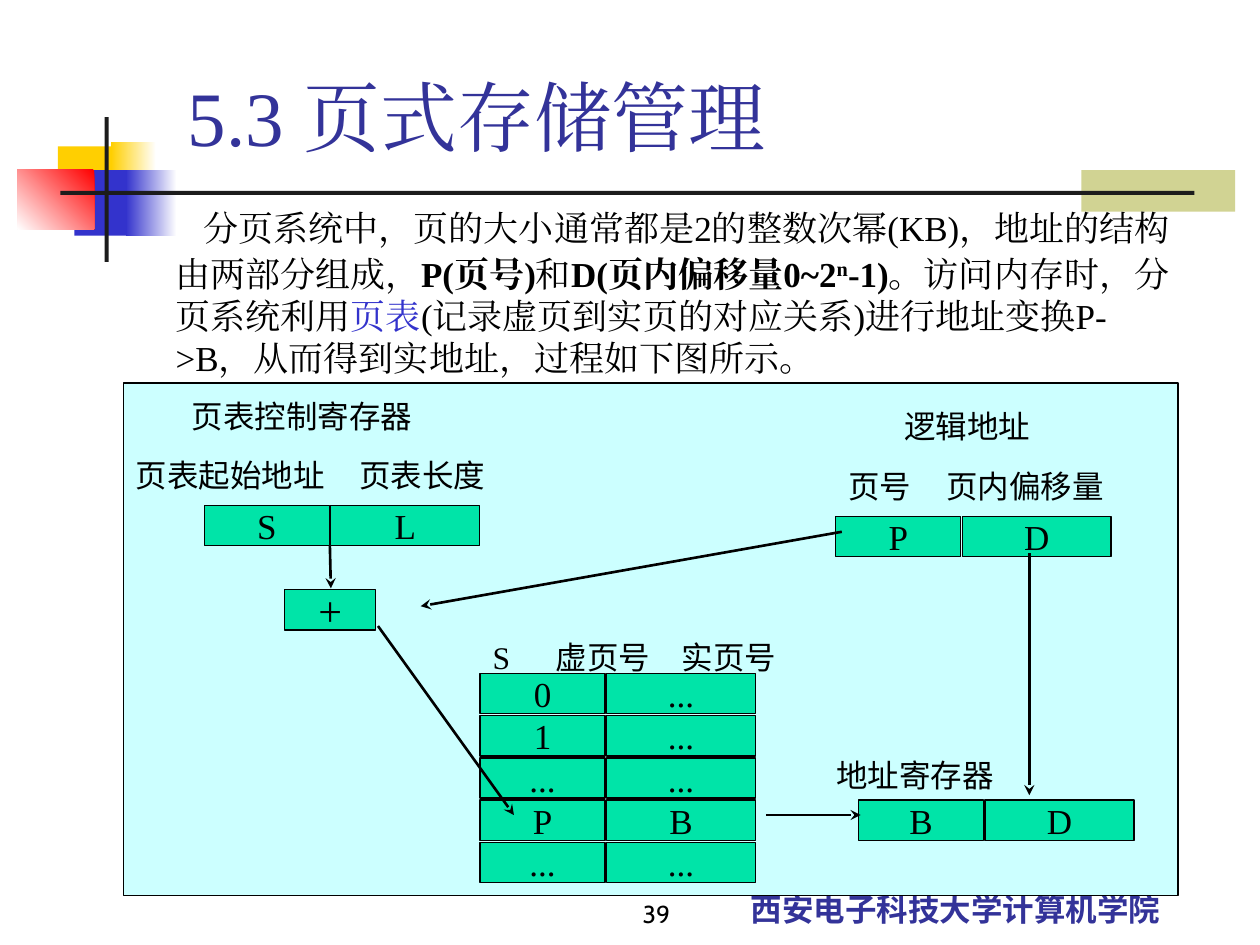
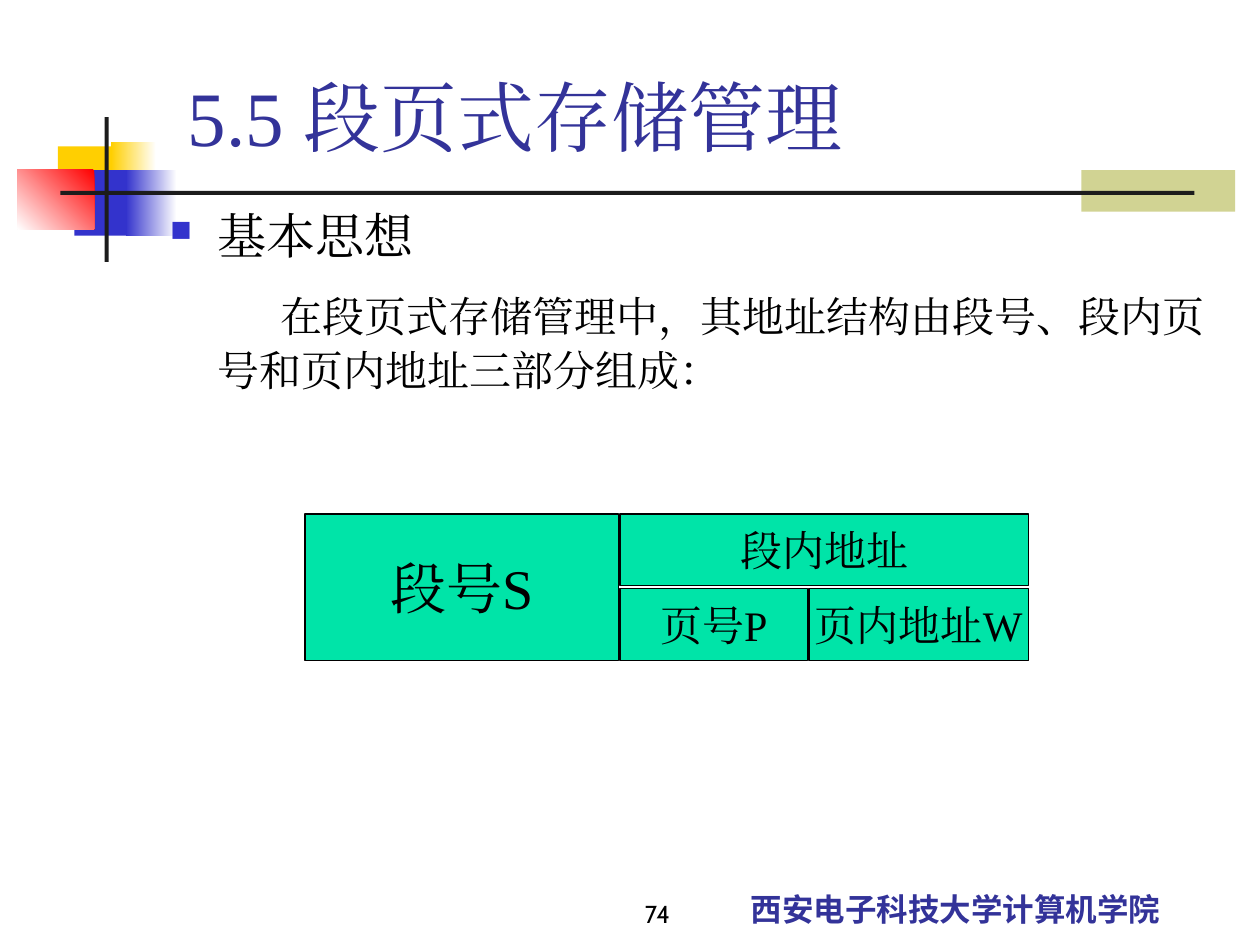
from dataclasses import dataclass

import pptx
import pptx.dml.color
import pptx.enum.shapes
import pptx.enum.text
import pptx.oxml
import pptx.oxml.ns
import pptx.util
from lxml import etree

Cm = pptx.util.Cm
Pt = pptx.util.Pt
ALIGN = pptx.enum.text.PP_ALIGN
ANCHOR = pptx.enum.text.MSO_ANCHOR


@dataclass(frozen=True)
class Theme:
    ink: str = "000000"
    title: str = "333399"
    accent: str = "3333CC"
    yellow: str = "FFCF01"
    red: str = "FF0000"
    white: str = "FFFFFF"
    olive: str = "D1D393"
    rule: str = "1C1C1C"
    cell: str = "00E4A8"
    panel: str = "CCFFFF"
    serif: str = "Times New Roman"
    sans: str = "Noto Sans CJK SC"
    number_font: str = "Cabin"
    title_size: int = 44
    segment_size: int = 32
    heading_size: int = 28
    text_size: int = 24
    cell_size: int = 20
    label_size: int = 18
    number_size: int = 14


THEME = Theme()
NUMBER_CELL_W, VALUE_CELL_W, CELL_H = 2.52, 3.0, 0.81
VALUE_CELL_OFFSET, ROW_PITCH = 2.55, 0.85


def rgb(color):
    return pptx.dml.color.RGBColor.from_string(color)


def add_xml(parent, tag, **attributes):
    child = etree.SubElement(parent, pptx.oxml.ns.qn(tag))
    for key, value in attributes.items():
        child.set(key, str(value))
    return child


def style_run(run, size, font=THEME.serif, color=THEME.ink, bold=False):
    run.font.size = Pt(size)
    run.font.name = font
    run.font.bold = bold
    run.font.color.rgb = rgb(color)
    add_xml(run.font._element, "a:ea", typeface=font)


def style_paragraph(paragraph, size, before=0.7, align=ALIGN.LEFT, **run_style):
    paragraph.alignment = align
    paragraph.space_before, paragraph.space_after = Pt(before), Pt(0.7)
    for run in paragraph.runs:
        style_run(run, size, **run_style)


def indent(paragraph, margin, first_line):
    properties = paragraph._p.get_or_add_pPr()
    properties.set("marL", str(Cm(margin)))
    properties.set("indent", str(Cm(first_line)))


def set_tabs(paragraph, stops):
    tabs = add_xml(paragraph._p.get_or_add_pPr(), "a:tabLst")
    for stop in stops:
        add_xml(tabs, "a:tab", pos=Cm(stop), algn="l")


def set_square_bullet(paragraph):
    properties = paragraph._p.get_or_add_pPr()
    add_xml(add_xml(properties, "a:buClr"), "a:srgbClr", val=THEME.accent)
    add_xml(properties, "a:buSzPct", val=60000)
    add_xml(properties, "a:buChar", char="■")


def add_text_frame(slide, left, top, width, height, anchor=ANCHOR.TOP):
    box = slide.shapes.add_textbox(Cm(left), Cm(top), Cm(width), Cm(height))
    frame = box.text_frame
    frame.word_wrap = True
    frame.vertical_anchor = anchor
    return frame


def add_line_of_text(slide, box, text, size, **style):
    frame = add_text_frame(slide, *box, anchor=ANCHOR.BOTTOM)
    frame.text = text
    style_paragraph(frame.paragraphs[0], size, **style)


def add_rect(slide, left, top, width, height, fill, outlined=False):
    """Draw a rectangle; fill is a colour or (start, end, clockwise angle)."""
    rect = slide.shapes.add_shape(
        pptx.enum.shapes.MSO_SHAPE.RECTANGLE, Cm(left), Cm(top), Cm(width), Cm(height))
    rect.shadow.inherit = False
    if isinstance(fill, str):
        rect.fill.solid()
        rect.fill.fore_color.rgb = rgb(fill)
    else:
        start, end, angle = fill
        rect.fill.gradient()
        rect.fill.gradient_angle = 360 - angle
        for stop, color in zip(rect.fill.gradient_stops, (start, end)):
            stop.color.rgb = rgb(color)
    if outlined:
        rect.line.color.rgb = rgb(THEME.ink)
        rect.line.width = Pt(0.75)
    else:
        rect.line.fill.background()
    return rect


def add_cell(slide, left, top, width, height, text, size=THEME.cell_size):
    frame = add_rect(slide, left, top, width, height, THEME.cell, outlined=True).text_frame
    frame.word_wrap = False
    frame.vertical_anchor = ANCHOR.MIDDLE
    frame.text = text
    style_paragraph(frame.paragraphs[0], size, align=ALIGN.CENTER)


def add_register(slide, left, top, number, value):
    """Draw two adjoining fields of a register or page table row."""
    add_cell(slide, left, top, NUMBER_CELL_W, CELL_H, number)
    add_cell(slide, left + VALUE_CELL_OFFSET, top, VALUE_CELL_W, CELL_H, value)


def add_labels(slide, box, lines, stops=(), first_indent=0.0):
    frame = add_text_frame(slide, *box)
    frame.text = "\n".join(lines)
    for paragraph in frame.paragraphs:
        style_paragraph(paragraph, THEME.label_size, before=11.9, font=THEME.sans)
        if stops:
            set_tabs(paragraph, stops)
    indent(frame.paragraphs[0], first_indent, 0)
    return frame


def add_arrow(slide, x1, y1, x2, y2):
    arrow = slide.shapes.add_connector(
        pptx.enum.shapes.MSO_CONNECTOR.STRAIGHT, Cm(x1), Cm(y1), Cm(x2), Cm(y2))
    arrow.line.color.rgb = rgb(THEME.ink)
    arrow.line.width = Pt(1.5)
    add_xml(arrow.line._get_or_add_ln(), "a:tailEnd", type="stealth")
    add_xml(arrow._element.spPr, "a:effectLst")


def add_lecture_slide(deck, title, number):
    """Add a slide with the shared ornament, footer, page number and title."""
    slide = deck.slides.add_slide(deck.slide_layouts[6])
    ornament = (
        (21.8, 3.43, 3.1, 0.84, THEME.olive),
        (1.17, 2.95, 1.22, 1.32, THEME.yellow),
        (2.24, 2.87, 0.91, 1.32, (THEME.white, THEME.yellow, 180)),
        (1.5, 3.43, 1.17, 1.32, THEME.accent),
        (2.54, 3.43, 1.02, 1.32, (THEME.white, THEME.accent, 180)),
        (0.35, 3.42, 1.55, 1.2, (THEME.red, THEME.white, 135)),
        (2.11, 2.36, 0.08, 2.92, THEME.rule),
        (1.22, 3.85, 22.86, 0.08, THEME.rule),
    )
    for part in ornament:
        add_rect(slide, *part)
    add_line_of_text(slide, (13.55, 17.36, 11.43, 1.46), "西安电子科技大学计算机学院",
                     THEME.label_size, align=ALIGN.CENTER, font=THEME.sans,
                     color=THEME.title, bold=True)
    add_line_of_text(slide, (8.47, 17.57, 5.29, 1.27), number, THEME.number_size,
                     align=ALIGN.RIGHT, font=THEME.number_font)
    add_line_of_text(slide, (3.54, 1.27, 21.64, 2.11), title, THEME.title_size,
                     color=THEME.title)
    return slide


def add_opening_space(paragraph):
    """Start a paragraph with a large space that sets its first line's height."""
    run = paragraph.add_run()
    run.text = " "
    style_run(run, THEME.segment_size)


def add_paging_text(slide):
    paragraph = add_text_frame(slide, 2.34, 3.61, 21.59, 4.45).paragraphs[0]
    style_paragraph(paragraph, THEME.cell_size, before=5.7)
    indent(paragraph, 0.95, 0.28)
    add_opening_space(paragraph)
    pieces = (
        ("分页系统中，页的大小通常都是2的整数次幂(KB)，地址的结构由两部分组成，", {}),
        ("P(页号)", {"bold": True}),
        ("和", {}),
        ("D(页内偏移量0~2", {"bold": True}),
        ("n", {"bold": True}),
        ("-1)", {"bold": True}),
        ("。访问内存时，分页系统利用", {}),
        ("页表", {"color": THEME.accent}),
        ("(记录虚页到实页的对应关系)进行地址变换P->B，从而得到实地址，过程如下图所示。", {}),
    )
    for text, style in pieces:
        run = paragraph.add_run()
        run.text = text
        style_run(run, THEME.cell_size, **style)
        if text == "n":
            run.font._element.set("baseline", "30000")


def add_address_translation(slide):
    add_rect(slide, 2.49, 7.72, 21.26, 10.34, THEME.panel, outlined=True)

    add_register(slide, 4.12, 10.19, "S", "L")
    add_cell(slide, 5.74, 11.89, 1.83, CELL_H, "+", THEME.text_size)
    add_labels(slide, (2.49, 7.87, 8.53, 2.21),
               ("页表控制寄存器", "页表起始地址\t页表长度"), (4.5,), 1.13)

    add_register(slide, 16.85, 10.41, "P", "D")
    add_labels(slide, (16.85, 8.08, 6.68, 2.21),
               ("逻辑地址", "页号\t页内偏移量"), (1.98,), 1.13)

    add_register(slide, 17.31, 16.13, "B", "D")
    page_table = (("0", "..."), ("1", "..."), ("...", "..."), ("P", "B"), ("...", "..."))
    for row, (virtual_page, real_page) in enumerate(page_table):
        add_register(slide, 9.68, 13.58 + row * ROW_PITCH, virtual_page, real_page)
    table_heads = add_labels(slide, (9.68, 12.73, 6.68, 1.02), ("S",), (0.8, 2.97))
    heading = table_heads.paragraphs[0]
    heading.runs[0].font.name = THEME.serif
    page_columns = heading.add_run()
    page_columns.text = "\t虚页号\t实页号"
    style_run(page_columns, THEME.label_size, font=THEME.sans)
    add_labels(slide, (16.61, 15.11, 4.14, 1.02), ("地址寄存器",))

    for ends in ((16.97, 10.72, 8.48, 12.22), (6.65, 11.0, 6.67, 11.86),
                 (7.62, 12.62, 10.36, 16.43), (15.44, 16.43, 17.35, 16.43),
                 (20.75, 11.15, 20.75, 16.03)):
        add_arrow(slide, *ends)


def add_basic_idea(slide):
    frame = add_text_frame(slide, 3.18, 4.01, 21.59, 12.7)
    frame.text = "基本思想"
    heading = frame.paragraphs[0]
    style_paragraph(heading, THEME.heading_size, before=7.7)
    indent(heading, 0.95, -0.95)
    set_square_bullet(heading)

    explanation = frame.add_paragraph()
    style_paragraph(explanation, THEME.text_size, before=6.7)
    indent(explanation, 0.95, 0.99)
    add_opening_space(explanation)
    body = explanation.add_run()
    body.text = "在段页式存储管理中，其地址结构由段号、段内页号和页内地址三部分组成："
    style_run(body, THEME.text_size)


def add_address_structure(slide):
    top, lower_top, inner_left, half_height = 10.36, 11.86, 12.5, 1.45
    add_cell(slide, 6.15, top, 6.32, 2.95, "段号S", THEME.segment_size)
    for left, row_top, width, field in (
            (inner_left, top, 8.23, "段内地址"),
            (inner_left, lower_top, 3.78, "页号P"),
            (16.31, lower_top, 4.42, "页内地址W")):
        add_cell(slide, left, row_top, width, half_height, field, THEME.text_size)


def main():
    deck = pptx.Presentation()
    deck.slide_width, deck.slide_height = Cm(25.4), Cm(19.05)

    paging = add_lecture_slide(deck, "5.3 页式存储管理", "39")
    add_paging_text(paging)
    add_address_translation(paging)

    segmented_paging = add_lecture_slide(deck, "5.5 段页式存储管理", "74")
    add_basic_idea(segmented_paging)
    add_address_structure(segmented_paging)

    deck.save("out.pptx")


if __name__ == "__main__":
    main()
